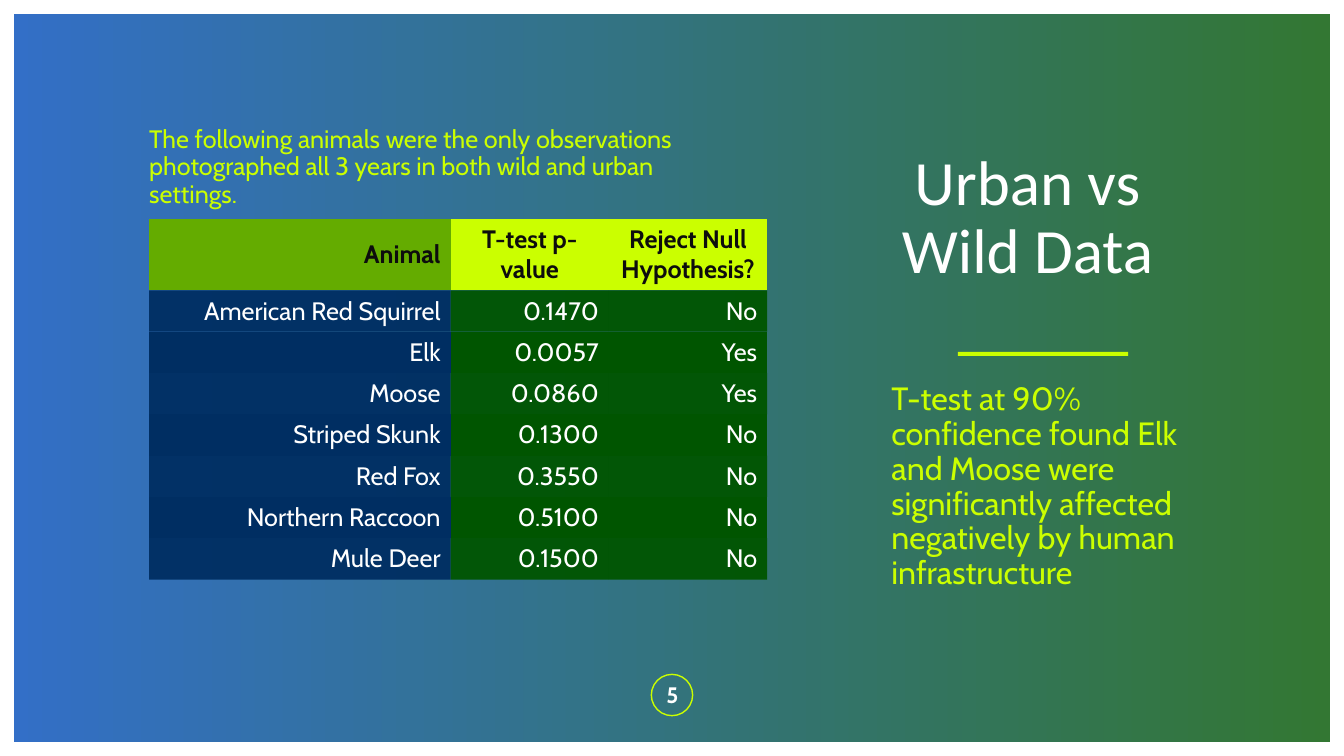
from dataclasses import dataclass

from lxml import etree
from pptx import Presentation
from pptx.dml.color import RGBColor
from pptx.enum.shapes import MSO_SHAPE
from pptx.enum.text import MSO_ANCHOR, MSO_AUTO_SIZE, PP_ALIGN
from pptx.oxml.ns import qn
from pptx.util import Inches, Pt

RECT, OVAL = MSO_SHAPE.RECTANGLE, MSO_SHAPE.OVAL
TOP, MIDDLE = MSO_ANCHOR.TOP, MSO_ANCHOR.MIDDLE
LEFT, CENTER, RIGHT = PP_ALIGN.LEFT, PP_ALIGN.CENTER, PP_ALIGN.RIGHT
NO_FIT = MSO_AUTO_SIZE.NONE
PLAIN = "{2D5ABB26-0587-4C30-8999-92F81FD0307C}"


@dataclass(frozen=True)
class Theme:
    blue: str = "004CB9"
    navy: str = "002E62"
    green: str = "005500"
    leaf: str = "64AC00"
    lime: str = "CBFF00"
    ink: str = "0D0D0D"
    white: str = "FFFFFF"
    head: str = "Calibri"
    body: str = "Cabin"
    title: float = 45
    lead: float = 23
    text: float = 18
    page: float = 16


THEME = Theme()
HEADS = ("Animal", "T-test p-value", "Reject Null Hypothesis?")
TESTS = (
    ("American Red Squirrel", "0.1470", "No"),
    ("Elk", "0.0057", "Yes"),
    ("Moose", "0.0860", "Yes"),
    ("Striped Skunk", "0.1300", "No"),
    ("Red Fox", "0.3550", "No"),
    ("Northern Raccoon", "0.5100", "No"),
    ("Mule Deer", "0.1500", "No"),
)


def rgb(color):
    return RGBColor.from_string(color)


def fade(element, percent):
    for color in element.iter(qn("a:srgbClr")):
        alpha = etree.SubElement(color, qn("a:alpha"))
        alpha.set("val", str(percent * 1000))


def style(para, size, color, align=LEFT, font=THEME.body, bold=False):
    para.alignment = align
    para.font.size = Pt(size)
    para.font.name = font
    para.font.bold = bold
    para.font.color.rgb = rgb(color)


def place(shape, box):
    shape.left, shape.top, shape.width, shape.height = map(Inches, box)


def write(shape, text, size, color, align=LEFT, anchor=TOP, side=0,
          space=0.9, **look):
    frame = shape.text_frame
    frame.word_wrap = True
    frame.auto_size = NO_FIT
    frame.vertical_anchor = anchor
    frame.margin_left = frame.margin_right = Inches(side)
    frame.margin_top = frame.margin_bottom = Inches(0.05)
    frame.text = text
    para = frame.paragraphs[0]
    para.line_spacing = space
    para.space_before = Pt(0)
    style(para, size, color, align, **look)


def add_title(slide, text, box):
    title = slide.shapes.title
    place(title, box)
    title.element.getparent().append(title.element)
    write(title, text, THEME.title, THEME.white, CENTER, MIDDLE,
          font=THEME.head)


def add_text(slide, text, box, size, color, **look):
    shape = slide.shapes.add_textbox(*map(Inches, box))
    write(shape, text, size, color, **look)


def add_shape(slide, kind, box, fill=None, line=None):
    shape = slide.shapes.add_shape(kind, *map(Inches, box))
    shape.shadow.inherit = False
    if fill:
        shape.fill.solid()
        shape.fill.fore_color.rgb = rgb(fill)
    else:
        shape.fill.background()
    if line:
        shape.line.color.rgb = rgb(line)
        shape.line.width = Pt(1)
    else:
        shape.line.fill.background()
    return shape


def add_panel(slide, box):
    panel = add_shape(slide, RECT, box)
    panel.fill.gradient()
    panel.fill.gradient_angle = 0
    for stop, color, spot in zip(panel.fill.gradient_stops,
                                 (THEME.blue, THEME.green), (0, 1)):
        stop.color.rgb = rgb(color)
        stop.position = spot
    fade(panel.element, 80)


def fill_cell(cell, text, fill, color, align, bold=False, alpha=100):
    cell.text = text
    cell.vertical_anchor = MIDDLE
    cell.fill.solid()
    cell.fill.fore_color.rgb = rgb(fill)
    if alpha < 100:
        fade(cell._tc.tcPr, alpha)
    style(cell.text_frame.paragraphs[0], THEME.text, color, align, bold=bold)


def add_tests(slide, box, widths, head, row):
    frame = slide.shapes.add_table(len(TESTS) + 1, len(HEADS),
                                   *map(Inches, box))
    table = frame.table
    table.horz_banding = False
    next(frame.element.iter(qn("a:tableStyleId"))).text = PLAIN
    for col, width in zip(table.columns, widths):
        col.width = Inches(width)
    for i, line in enumerate(table.rows):
        line.height = Inches(row if i else head)
    for c, text in enumerate(HEADS):
        fill_cell(table.cell(0, c), text, THEME.lime if c else THEME.leaf,
                  THEME.ink, CENTER if c else RIGHT, bold=True)
    for r, test in enumerate(TESTS, 1):
        for c, text in enumerate(test):
            fill_cell(table.cell(r, c), text,
                      THEME.green if c else THEME.navy, THEME.white, RIGHT,
                      alpha=95 if r % 2 else 100)


def main():
    deck = Presentation()
    deck.slide_width, deck.slide_height = Inches(13.33), Inches(7.5)
    slide = deck.slides.add_slide(deck.slide_layouts[5])
    add_panel(slide, (0.14, 0.14, 13.05, 7.22))
    add_shape(slide, OVAL, (6.46, 6.69, 0.41, 0.41), line=THEME.lime)
    add_shape(slide, RECT, (9.5, 3.49, 1.69, 0.04), fill=THEME.lime)
    add_tests(slide, (1.48, 2.17, 6.14, 3.54), (2.99, 1.57, 1.57), 0.7, 0.41)
    add_title(slide, "Urban vs Wild Data", (8.73, 1.31, 2.92, 1.73))
    add_text(slide, "T-test at 90% confidence found Elk and Moose were "
             "significantly affected negatively by human infrastructure",
             (8.84, 3.75, 3.12, 2.46), THEME.lead, THEME.lime)
    add_text(slide, "5", (6.37, 6.69, 0.6, 0.4), THEME.page, THEME.white,
             align=CENTER, anchor=MIDDLE, side=0.1, space=1, bold=True)
    add_text(slide, "The following animals were the only observations "
             "photographed all 3 years in both wild and urban settings.",
             (1.48, 1.21, 5.56, 1.16), THEME.text, THEME.lime)
    deck.save("out.pptx")


if __name__ == "__main__":
    main()
